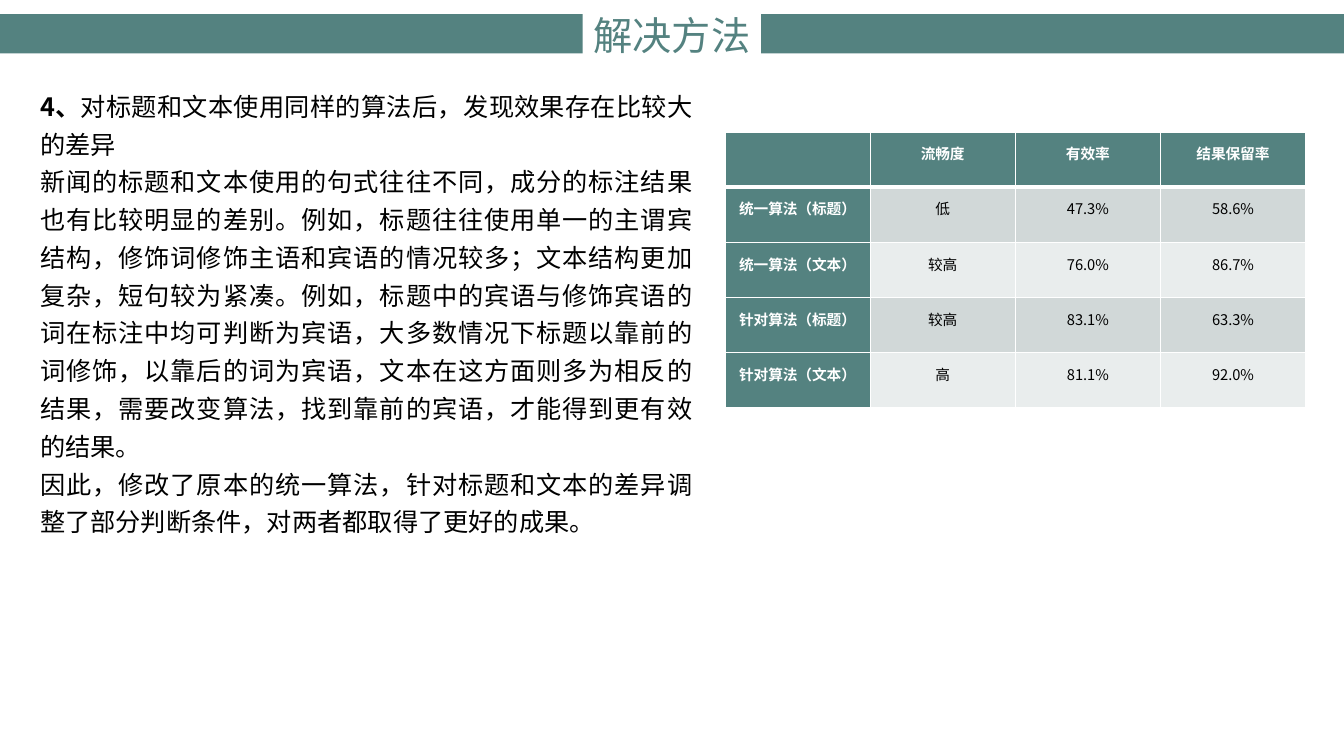
"""Build the slide that compares one shared algorithm with targeted ones."""
from dataclasses import dataclass

from lxml.etree import SubElement
from pptx import Presentation
from pptx.dml.color import RGBColor
from pptx.enum.lang import MSO_LANGUAGE_ID as Language
from pptx.enum.shapes import MSO_SHAPE as Shape
from pptx.enum.text import MSO_ANCHOR as Anchor, MSO_AUTO_SIZE as AutoSize, PP_ALIGN as Align
from pptx.oxml.ns import qn
from pptx.slide import Slide
from pptx.table import _Cell as Cell
from pptx.text.text import _Paragraph as Paragraph
from pptx.util import Inches, Pt

FONT = "Noto Sans CJK SC"
COLORS = {
    "teal": "548280",
    "white": "FFFFFF",
    "black": "000000",
    "band_dark": "D1D8D8",
    "band_light": "E9EDED",
}


@dataclass
class Area:
    left: float
    top: float
    width: float
    height: float

    def lengths(self) -> list[Inches]:
        return [Inches(n) for n in (self.left, self.top, self.width, self.height)]


@dataclass
class Result:
    method: str
    fluency: str
    efficiency: str
    retention: str

    def texts(self) -> tuple[str, ...]:
        return self.method, self.fluency, self.efficiency, self.retention


BARS = [Area(0, 0.14, 5.78, 0.39), Area(7.55, 0.14, 5.78, 0.39)]
TITLE_AREA = Area(5.78, 0.06, 1.77, 0.57)
BODY_AREA = Area(0.3, 0.78, 6.67, 4.62)
TABLE_AREA = Area(7.19, 1.31, 5.76, 2.74)

BODY = [
    [("4、", True), ("对标题和文本使用同样的算法后，发现效果存在比较大的差异", False)],
    [(
        "新闻的标题和文本使用的句式往往不同，成分的标注结果也有比较明显的差别。"
        "例如，标题往往使用单一的主谓宾结构，修饰词修饰主语和宾语的情况较多；"
        "文本结构更加复杂，短句较为紧凑。"
        "例如，标题中的宾语与修饰宾语的词在标注中均可判断为宾语，"
        "大多数情况下标题以靠前的词修饰，以靠后的词为宾语，"
        "文本在这方面则多为相反的结果，需要改变算法，找到靠前的宾语，"
        "才能得到更有效的结果。", False,
    )],
    [(
        "因此，修改了原本的统一算法，针对标题和文本的差异调整了部分判断条件，"
        "对两者都取得了更好的成果。", False,
    )],
]
RESULTS = [
    Result("", "流畅度", "有效率", "结果保留率"),
    Result("统一算法（标题）", "低", "47.3%", "58.6%"),
    Result("统一算法（文本）", "较高", "76.0%", "86.7%"),
    Result("针对算法（标题）", "较高", "83.1%", "63.3%"),
    Result("针对算法（文本）", "高", "81.1%", "92.0%"),
]


def rgb(name: str) -> RGBColor:
    return RGBColor.from_string(COLORS[name])


def add_text(para: Paragraph, text: str, *, size: float, color: str = "black",
             bold: bool = False, align: Align = Align.CENTER, spacing: float = 1.0) -> None:
    para.alignment = align
    para.line_spacing = spacing
    span = para.add_run()
    span.text = text
    font = span.font
    font.name, font.size, font.bold = FONT, Pt(size), bold
    font.color.rgb = rgb(color)
    font.language_id = Language.SIMPLIFIED_CHINESE
    SubElement(span._r.get_or_add_rPr(), qn("a:ea"), typeface=FONT)


def add_bar(page: Slide, area: Area) -> None:
    bar = page.shapes.add_shape(Shape.RECTANGLE, *area.lengths())
    bar.shadow.inherit = False
    bar.fill.solid()
    bar.fill.fore_color.rgb = rgb("teal")
    bar.line.fill.background()


def add_title(page: Slide) -> None:
    frame = page.shapes.add_textbox(*TITLE_AREA.lengths()).text_frame
    frame.word_wrap = False
    frame.auto_size = AutoSize.SHAPE_TO_FIT_TEXT
    frame.vertical_anchor = Anchor.MIDDLE
    add_text(frame.paragraphs[0], "解决方法", size=28, color="teal")


def add_body(page: Slide) -> None:
    frame = page.shapes.add_textbox(*BODY_AREA.lengths()).text_frame
    frame.word_wrap = True
    frame.auto_size = AutoSize.SHAPE_TO_FIT_TEXT
    for index, spans in enumerate(BODY):
        para = frame.add_paragraph() if index else frame.paragraphs[0]
        for text, bold in spans:
            add_text(para, text, size=18, bold=bold, align=Align.JUSTIFY, spacing=1.25)


def set_border(cell: Cell, side: str, width: float) -> None:
    properties = cell._tc.get_or_add_tcPr()
    line = SubElement(properties, qn(f"a:ln{side}"), w=str(Pt(width)))
    fill = SubElement(line, qn("a:solidFill"))
    SubElement(fill, qn("a:srgbClr"), val=COLORS["white"])


def format_cell(cell: Cell, text: str, row: int, column: int) -> None:
    heading = row == 0 or column == 0
    for side in "LRTB":
        thick = (row, side) in ((0, "B"), (1, "T"))
        set_border(cell, side, 3 if thick else 1)
    cell.fill.solid()
    band = "band_dark" if row % 2 else "band_light"
    cell.fill.fore_color.rgb = rgb("teal" if heading else band)
    cell.margin_left = cell.margin_right = Inches(0.07)
    cell.margin_top = cell.margin_bottom = 0
    if text:
        add_text(cell.text_frame.paragraphs[0], text, size=10.5, bold=heading,
                 color="white" if heading else "black", spacing=1.5)


def add_results(page: Slide) -> None:
    columns = len(RESULTS[0].texts())
    table = page.shapes.add_table(len(RESULTS), columns, *TABLE_AREA.lengths()).table
    for row, result in enumerate(RESULTS):
        for column, text in enumerate(result.texts()):
            format_cell(table.cell(row, column), text, row, column)


def main() -> None:
    deck = Presentation()
    deck.slide_width, deck.slide_height = Inches(13.33), Inches(7.5)
    page = deck.slides.add_slide(deck.slide_layouts[6])
    for area in BARS:
        add_bar(page, area)
    add_title(page)
    add_body(page)
    add_results(page)
    deck.save("out.pptx")


if __name__ == "__main__":
    main()
